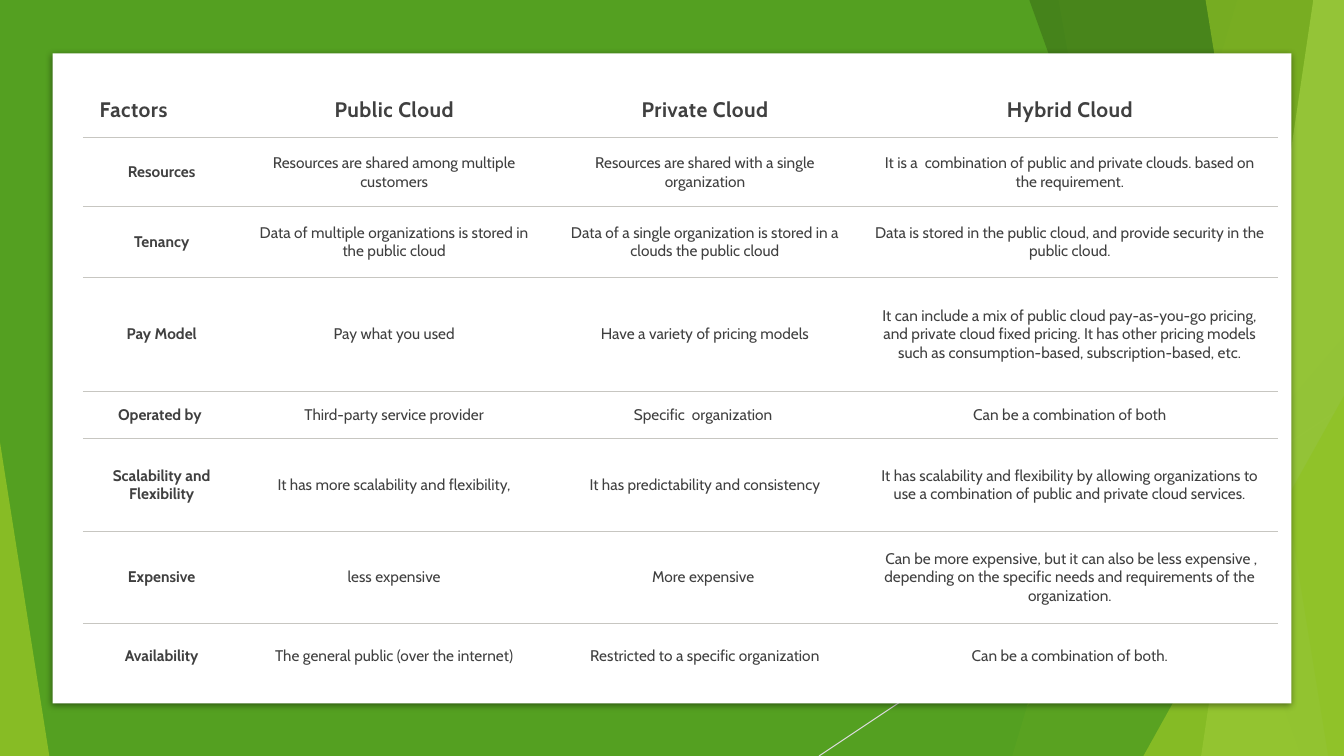
from lxml.etree import SubElement
from pptx import Presentation
from pptx.dml.color import RGBColor
from pptx.enum.shapes import MSO_CONNECTOR, MSO_SHAPE
from pptx.enum.text import MSO_ANCHOR, PP_ALIGN
from pptx.oxml.ns import qn
from pptx.util import Pt

PX = 9525  # 96 px to the inch
WIDTH, HEIGHT = 1280, 720

GREEN = RGBColor(0x54, 0xA0, 0x21)
LIME = RGBColor(0x90, 0xC2, 0x26)
PALE_LIME = RGBColor(0xC0, 0xE4, 0x74)
DARK_GREEN = RGBColor(0x3F, 0x78, 0x19)
WHITE = RGBColor(0xFF, 0xFF, 0xFF)
BLACK = RGBColor(0, 0, 0)
LINE_GRAY = RGBColor(0xD9, 0xD9, 0xD9)
RULE_GRAY = RGBColor(0xC7, 0xC6, 0xC1)
TEXT_GRAY = RGBColor(0x40, 0x40, 0x40)

COLUMNS = [146, 297, 295, 400]
ROW_HEIGHTS = [53, 66, 67, 109, 45, 88, 88, 62]
ROWS = [
    ["Factors", "Public Cloud", "Private Cloud", "Hybrid Cloud"],
    ["Resources",
     "Resources are shared among multiple customers",
     "Resources are shared with a single organization",
     "It is a  combination of public and private clouds. based on the requirement."],
    ["Tenancy",
     "Data of multiple organizations is stored in the public cloud",
     "Data of a single organization is stored in a clouds the public cloud",
     "Data is stored in the public cloud, and provide security in the public cloud."],
    ["Pay Model",
     "Pay what you used",
     "Have a variety of pricing models",
     "It can include a mix of public cloud pay-as-you-go pricing, and private cloud "
     "fixed pricing. It has other pricing models such as consumption-based, "
     "subscription-based, etc."],
    ["Operated by ",
     "Third-party service provider",
     "Specific  organization ",
     "Can be a combination of both"],
    ["Scalability and Flexibility",
     "It has more scalability and flexibility,",
     "It has predictability and consistency",
     "It has scalability and flexibility by allowing organizations to use a combination "
     "of public and private cloud services."],
    ["Expensive",
     "less expensive",
     "More expensive ",
     " Can be more expensive, but it can also be less expensive , depending on the "
     "specific needs and requirements of the organization."],
    ["Availability",
     "The general public (over the internet)",
     "Restricted to a specific organization",
     "Can be a combination of both."],
]


class SlideBuilder:
    font = "Cabin"
    body_size, header_size = 11, 15

    def __init__(self, s):
        self.s = s

    def paint(self, sp, color, alpha=100):
        """Fill a shape, with alpha as percent opacity, and drop line and shadow."""
        sp.shadow.inherit = False
        sp.line.fill.background()
        sp.fill.solid()
        sp.fill.fore_color.rgb = color
        if alpha < 100:
            clr = sp.fill._xPr.find(qn("a:solidFill"))[0]
            SubElement(clr, qn("a:alpha"), val=str(alpha * 1000))
        return sp

    def shape(self, kind, x, y, w, h, color, alpha=100):
        sp = self.s.shapes.add_shape(kind, x * PX, y * PX, w * PX, h * PX)
        return self.paint(sp, color, alpha)

    def triangle(self, x, y, w, h, peak, color, alpha):
        sp = self.shape(MSO_SHAPE.ISOSCELES_TRIANGLE, x, y, w, h, color, alpha)
        sp.adjustments[0] = peak

    def right_band(self, top_x, bottom_x, color, alpha):
        """Fill from a slanted edge to the right side of the slide."""
        builder = self.s.shapes.build_freeform(top_x, -1, scale=PX)
        builder.add_line_segments(
            [(WIDTH, -1), (WIDTH, HEIGHT), (bottom_x, HEIGHT)], close=True)
        self.paint(builder.convert_to_shape(), color, alpha)

    def line(self, x1, y1, x2, y2, color):
        cxn = self.s.shapes.add_connector(
            MSO_CONNECTOR.STRAIGHT, x1 * PX, y1 * PX, x2 * PX, y2 * PX)
        cxn.line.color.rgb = color
        cxn.line.width = Pt(0.75)
        SubElement(cxn._element.spPr, qn("a:effectLst"))

    def panel(self, x, y, w, h):
        """Add a white card with a soft shadow below it."""
        sp = self.shape(MSO_SHAPE.RECTANGLE, x, y, w, h, WHITE)
        effects = sp._element.spPr.find(qn("a:effectLst"))
        shadow = SubElement(effects, qn("a:outerShdw"), blurRad=str(Pt(5)),
                            dist=str(Pt(1.4)), dir="5400000", rotWithShape="0")
        clr = SubElement(shadow, qn("a:srgbClr"), val=str(BLACK))
        SubElement(clr, qn("a:alpha"), val="43000")

    def borders(self, cell, ruled):
        """Rule the sides named in ruled and clear the others."""
        tcPr = cell._tc.get_or_add_tcPr()
        for i, side in enumerate(["lnL", "lnR", "lnT", "lnB"]):
            ln = tcPr.makeelement(qn(f"a:{side}"), {"w": str(Pt(0.75))})
            tcPr.insert(i, ln)
            if side in ruled:
                fill = SubElement(ln, qn("a:solidFill"))
                SubElement(fill, qn("a:srgbClr"), val=str(RULE_GRAY))
            else:
                SubElement(ln, qn("a:noFill"))

    def cell(self, cell, text, header, bold, centered):
        cell.fill.background()
        cell.vertical_anchor = MSO_ANCHOR.MIDDLE
        cell.margin_left, cell.margin_right = 16 * PX, 12 * PX
        cell.margin_top = cell.margin_bottom = 8 * PX
        p = cell.text_frame.paragraphs[0]
        p.alignment = PP_ALIGN.CENTER if centered else PP_ALIGN.LEFT
        r = p.add_run()
        r.text = text
        r.font.name = self.font
        r.font.size = Pt(self.header_size if header else self.body_size)
        r.font.bold = bold
        r.font.color.rgb = TEXT_GRAY
        if header:
            r._r.get_or_add_rPr().set("spc", "30")

    def table(self, x, y, columns, heights, rows):
        table = self.s.shapes.add_table(
            len(rows), len(columns), x * PX, y * PX,
            sum(columns) * PX, sum(heights) * PX).table
        table.horz_banding = False
        for column, width in zip(table.columns, columns):
            column.width = width * PX
        for i, (row, height, texts) in enumerate(zip(table.rows, heights, rows)):
            row.height = height * PX
            ruled = {"lnT"} if i > 0 else set()
            if i < len(rows) - 1:
                ruled.add("lnB")
            for j, text in enumerate(texts):
                cell = row.cells[j]
                self.cell(cell, text, header=i == 0, bold=i == 0 or j == 0,
                          centered=i > 0 or j > 0)
                self.borders(cell, ruled)


def main():
    prs = Presentation()
    prs.slide_width, prs.slide_height = WIDTH * PX, HEIGHT * PX
    b = SlideBuilder(prs.slides.add_slide(prs.slide_layouts[6]))

    b.shape(MSO_SHAPE.RECTANGLE, 0, 0, WIDTH, HEIGHT, GREEN)
    b.line(WIDTH, 387, 780, HEIGHT, LINE_GRAY)
    b.right_band(1179, 964, LIME, 30)
    b.right_band(1008, 1136, LIME, 20)
    b.triangle(938, 320, 342, 400, 1, GREEN, 72)
    b.right_band(980, 1239, DARK_GREEN, 70)
    b.right_band(1251, 1144, PALE_LIME, 70)
    b.right_band(1148, 1265, LIME, 65)
    b.triangle(1089, 377, 191, 343, 1, LIME, 80)
    b.triangle(0, 421, 47, 299, 0, LIME, 85)

    b.panel(50, 51, 1180, 619)
    b.table(79, 78, COLUMNS, ROW_HEIGHTS, ROWS)
    prs.save("out.pptx")


if __name__ == "__main__":
    main()
